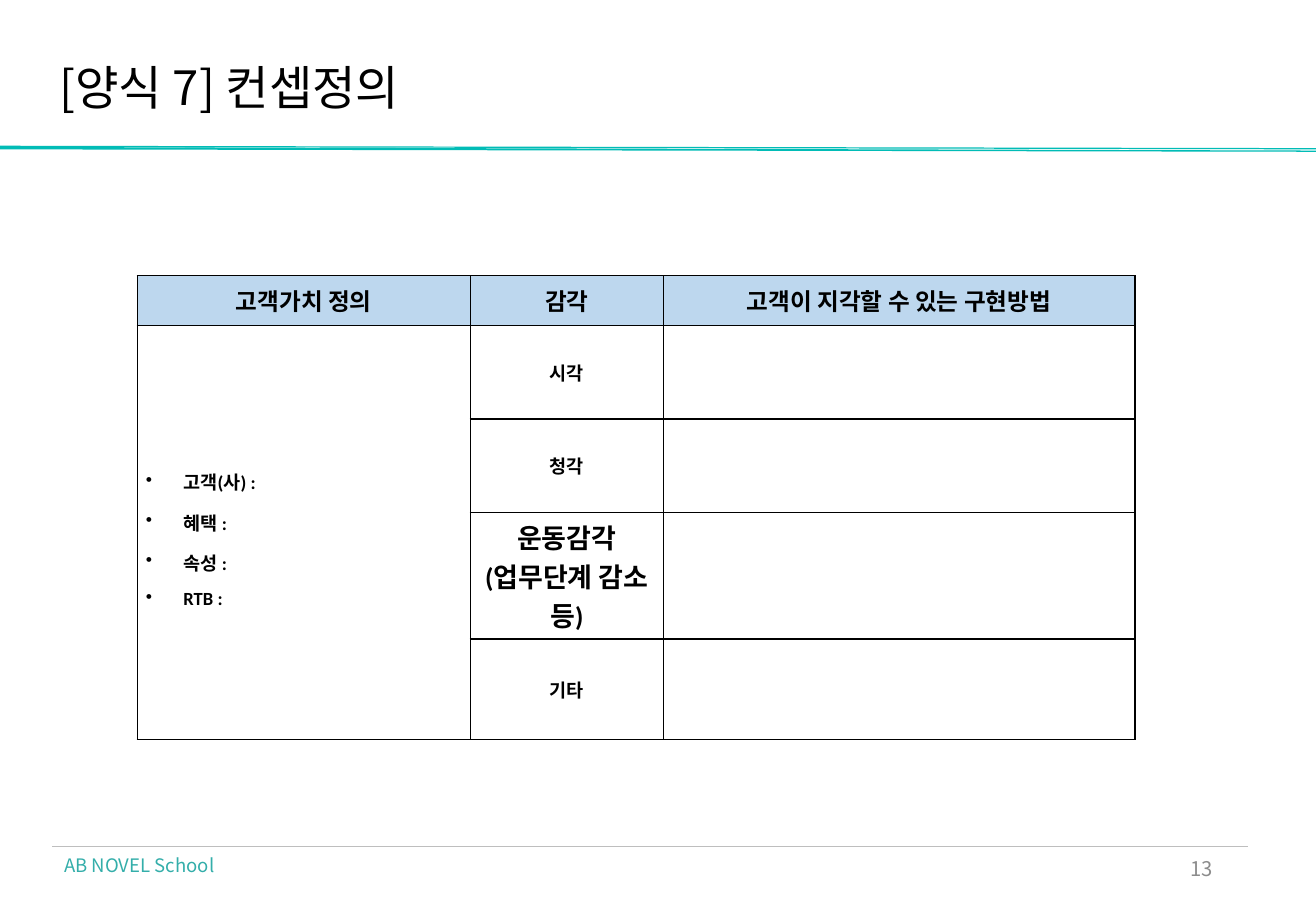
from lxml import etree
from pptx import Presentation
from pptx.dml.color import RGBColor
from pptx.enum.shapes import MSO_CONNECTOR
from pptx.enum.text import MSO_ANCHOR, PP_ALIGN
from pptx.oxml.ns import qn
from pptx.util import Inches, Pt

LEFT, CENTER, RIGHT = PP_ALIGN.LEFT, PP_ALIGN.CENTER, PP_ALIGN.RIGHT
TOP, MIDDLE = MSO_ANCHOR.TOP, MSO_ANCHOR.MIDDLE
STRAIGHT = MSO_CONNECTOR.STRAIGHT

SANS, TABLE_FONT = "Noto Sans CJK KR", "Calibri"
COLORS = {
    "ink": "000000",
    "band": "01BCB6",
    "rule": "BEBEBE",
    "number": "8C8C8C",
    "school": "34AEAA",
    "header": "BDD7EE",
}
HEADERS = ["고객가치 정의", "감각", "고객이 지각할 수 있는 구현방법"]
VALUES = ["고객(사) :", "혜택 :", "속성 :", "RTB :"]
SENSES = [
    (["시각"], 11),
    (["청각"], 11),
    (["운동감각", "(업무단계 감소 등)"], 16),
    (["기타"], 11),
]
COLUMN_WIDTHS = [2.74, 1.59, 3.88]
ROW_HEIGHTS = [0.41, 0.77, 0.77, 1.04, 0.83]


def color(name):
    return RGBColor.from_string(COLORS[name])


def write_lines(frame, lines, size, ink="ink", font=SANS, bold=False,
                align=LEFT, spacing=1.0, bullet=False):
    """Fill a text frame with one paragraph per line, all in one style."""
    for index, line in enumerate(lines):
        para = frame.add_paragraph() if index else frame.paragraphs[0]
        para.text = line
        para.alignment = align
        para.line_spacing = spacing
        properties = para._p.get_or_add_pPr()
        if bullet:
            properties.set("marL", str(Inches(0.31)))
            properties.set("indent", str(-Inches(0.31)))
            etree.SubElement(properties, qn("a:buChar"), char="•")
        para.font.size = Pt(size)
        para.font.bold = bold
        para.font.color.rgb = color(ink)
        para.font.name = font
        etree.SubElement(properties.find(qn("a:defRPr")), qn("a:ea"), typeface=SANS)


def add_text(page, box, text, size, ink, align=LEFT, anchor=TOP, spacing=1.0, inset=True):
    frame = page.shapes.add_textbox(*map(Inches, box)).text_frame
    frame.word_wrap = True
    frame.vertical_anchor = anchor
    if not inset:
        frame.margin_left = frame.margin_right = 0
        frame.margin_top = frame.margin_bottom = 0
    write_lines(frame, [text], size, ink, align=align, spacing=spacing)


def add_band(page, left, top, width):
    """Draw two thin slivers that slope down across the page."""
    right = left + width
    slivers = [
        [(left, top + 0.01), (left, top + 0.03), (right, top + 0.05), (right, top + 0.04)],
        [(left, top), (left, top + 0.01), (right, top + 0.03), (right, top + 0.02)],
    ]
    for sliver in slivers:
        start, *rest = [(Inches(x), Inches(y)) for x, y in sliver]
        builder = page.shapes.build_freeform(*start)
        builder.add_line_segments(rest, close=True)
        shape = builder.convert_to_shape()
        shape.shadow.inherit = False
        shape.fill.solid()
        shape.fill.fore_color.rgb = color("band")
        shape.line.fill.background()


def add_footer(page, left, top, width):
    right = left + width
    rule = page.shapes.add_connector(
        STRAIGHT, Inches(left), Inches(top), Inches(right), Inches(top))
    rule.line.color.rgb = color("rule")
    rule.line.width = Pt(0.5)
    etree.SubElement(rule._element.spPr, qn("a:effectLst"))
    add_text(page, (right - 2.63, top - 0.02, 2.44, 0.4), "13", 12, "number", RIGHT, MIDDLE)
    add_text(page, (left, top + 0.01, 1.6, 0.29), "AB NOVEL School", 11, "school")


def style_cell(cell, header):
    cell.vertical_anchor = MIDDLE
    cell.margin_left = cell.margin_right = Inches(0.07)
    cell.margin_top = cell.margin_bottom = Inches(0.04)
    properties = cell._tc.get_or_add_tcPr()
    for side in ("lnL", "lnR", "lnT", "lnB"):
        border = etree.SubElement(properties, qn(f"a:{side}"), w=str(Pt(1)))
        fill = etree.SubElement(border, qn("a:solidFill"))
        etree.SubElement(fill, qn("a:srgbClr"), val=COLORS["ink"])
    if header:
        cell.fill.solid()
        cell.fill.fore_color.rgb = color("header")
    else:
        cell.fill.background()


def add_concept_table(page, left, top):
    table = page.shapes.add_table(
        len(ROW_HEIGHTS), len(COLUMN_WIDTHS), Inches(left), Inches(top),
        Inches(sum(COLUMN_WIDTHS)), Inches(sum(ROW_HEIGHTS))).table
    table.first_row = table.horz_banding = False
    for column, width in zip(table.columns, COLUMN_WIDTHS):
        column.width = Inches(width)
    for index, (row, height) in enumerate(zip(table.rows, ROW_HEIGHTS)):
        row.height = Inches(height)
        for cell in row.cells:
            style_cell(cell, header=index == 0)
    table.cell(1, 0).merge(table.cell(len(SENSES), 0))

    look = {"font": TABLE_FONT, "bold": True}
    for index, header in enumerate(HEADERS):
        write_lines(table.cell(0, index).text_frame, [header], 14, align=CENTER, **look)
    write_lines(table.cell(1, 0).text_frame, VALUES, 11, spacing=1.5, bullet=True, **look)
    for index, (lines, size) in enumerate(SENSES, start=1):
        write_lines(table.cell(index, 1).text_frame, lines, size, align=CENTER, **look)


def main():
    deck = Presentation()
    deck.slide_width, deck.slide_height = Inches(10.83), Inches(7.5)
    page = deck.slides.add_slide(deck.slide_layouts[6])
    add_band(page, 0, 1.2, 10.83)
    add_footer(page, 0.43, 6.97, 9.84)
    add_text(page, (0.49, 0.53, 9.78, 0.42), "[양식 7] 컨셉정의", 28, "ink",
             spacing=0.9, inset=False)
    add_concept_table(page, 1.13, 2.27)
    deck.save("out.pptx")


if __name__ == "__main__":
    main()
